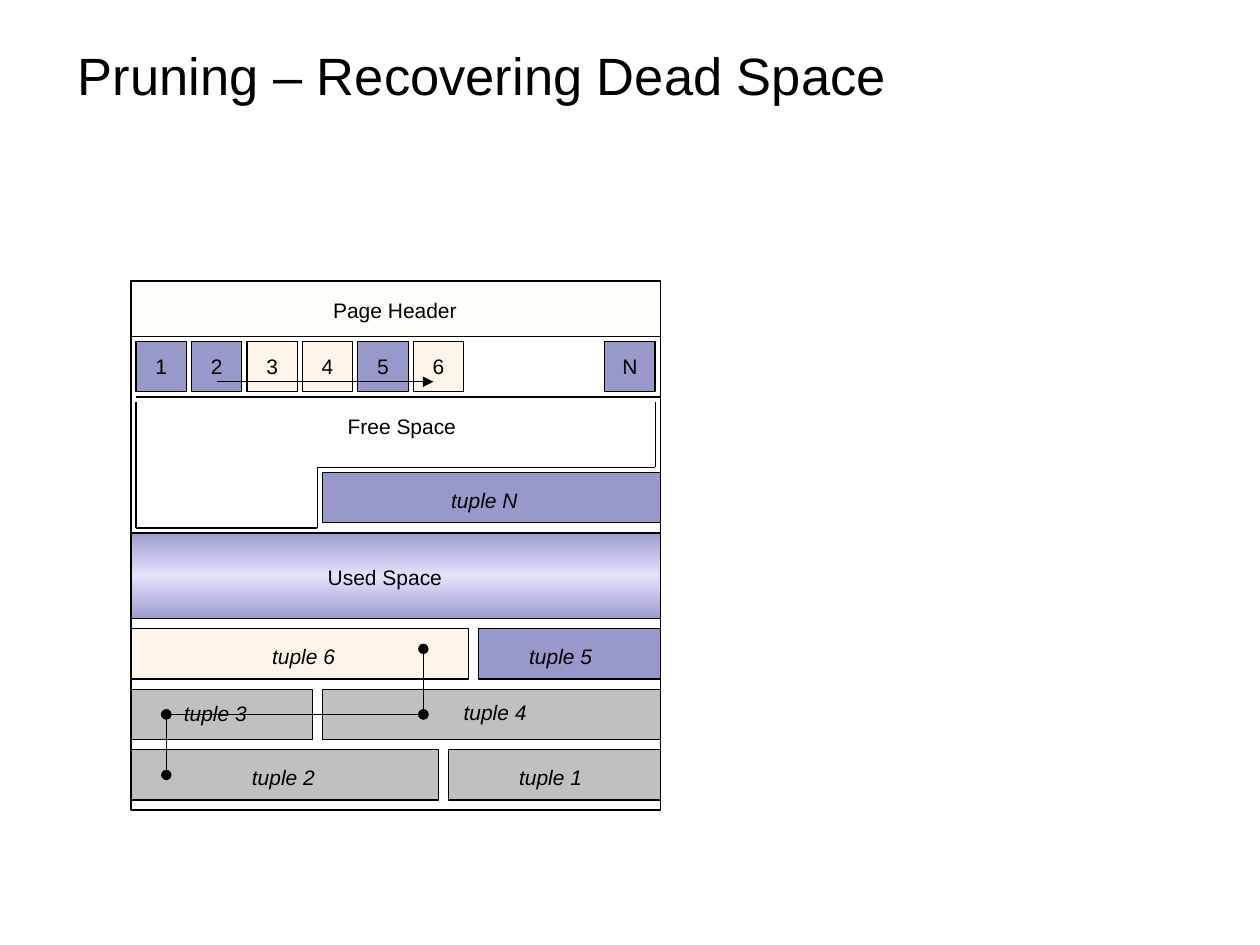
from lxml import etree
from pptx import Presentation
from pptx.dml.color import RGBColor
from pptx.enum.shapes import MSO_CONNECTOR, MSO_SHAPE
from pptx.enum.text import MSO_ANCHOR, PP_ALIGN
from pptx.oxml import parse_xml
from pptx.oxml.ns import nsdecls, qn
from pptx.util import Inches, Pt

COLORS = {"black": "000000", "dead": "C0C0C0", "live": "333399",
          "free": "FFCC99", "header": "FFCC00", "glow": "CCCCFF"}
OPACITY = {"dead": 100, "live": 50, "free": 20, "header": 3}
BLACK = RGBColor.from_string(COLORS["black"])

prs = Presentation()
prs.slide_width, prs.slide_height = Inches(10), Inches(7.5)
s = prs.slides.add_slide(prs.slide_layouts[6])


def write(tf, text, size=12, italic=False, align=PP_ALIGN.CENTER):
    tf.text = text
    p = tf.paragraphs[0]
    p.alignment = align
    font = p.runs[0].font
    font.name, font.size, font.italic = "Arial", Pt(size), italic
    font.color.rgb = BLACK


def box(x, y, w, h, kind=None):
    """Add an outlined rectangle; without a kind it has no fill."""
    sp = s.shapes.add_shape(MSO_SHAPE.RECTANGLE, Inches(x), Inches(y), Inches(w), Inches(h))
    sp.shadow.inherit = False
    sp.line.color.rgb, sp.line.width = BLACK, Pt(0.75)
    if kind is None:
        sp.fill.background()
        return sp
    sp.fill.solid()
    sp.fill.fore_color.rgb = RGBColor.from_string(COLORS[kind])
    if OPACITY[kind] < 100:
        color = sp._element.spPr.find(qn("a:solidFill"))[0]
        etree.SubElement(color, qn("a:alpha")).set("val", str(OPACITY[kind] * 1000))
    return sp


# Page frame and its bands
left, top, page = 1.04, 2.23, 4.2
right = left + page
tuple_h = 0.4

# Tuples: left edge, top, width, kind
for x, y, w, kind in [
    (2.56, 5.47, 2.68, "dead"), (left, 5.47, 1.44, "dead"),
    (3.56, 5.95, 1.68, "dead"), (left, 5.95, 2.44, "dead"),
    (left, 4.99, 2.68, "free"), (3.8, 4.99, 1.44, "live"),
    (2.56, 3.75, 2.68, "live"),
]:
    box(x, y, w, tuple_h, kind)

used = box(left, 4.23, page, 0.68)
used.fill.gradient()
used.fill.gradient_angle = 90
stops = used._element.spPr.find(qn("a:gradFill")).find(qn("a:gsLst"))
for stop in list(stops):
    stops.remove(stop)
for pos, kind, opacity in [(0, "live", 48), (50, "glow", 51), (100, "live", 48)]:
    stops.append(parse_xml(
        f'<a:gs {nsdecls("a")} pos="{pos * 1000}"><a:srgbClr val="{COLORS[kind]}">'
        f'<a:alpha val="{opacity * 1000}"/></a:srgbClr></a:gs>'))

box(left, top, page, page)

# Item pointers: the last one sits at the right end of the row
slot, pitch = 0.4, 0.44
for i, (name, kind) in enumerate([("1", "live"), ("2", "live"), ("3", "free"),
                                  ("4", "free"), ("5", "live"), ("6", "free"),
                                  ("N", "live")]):
    x = right - pitch if name == "N" else left + 0.04 + i * pitch
    tf = box(x, 2.71, slot, slot, kind).text_frame
    tf.vertical_anchor = MSO_ANCHOR.MIDDLE
    tf.word_wrap = False
    write(tf, name)

box(left, top, page, 0.44, "header")

title = s.shapes.add_textbox(Inches(0.52), Inches(0.05), Inches(8.19), Inches(0.84))
title.text_frame.word_wrap = True
title.text_frame.vertical_anchor = MSO_ANCHOR.BOTTOM
write(title.text_frame, "Pruning – Recovering Dead Space", 30, align=PP_ALIGN.LEFT)

# Labels: text, left edge, top, width
for text, x, y, w in [
    ("Page Header", 2.48, 2.31, 1.31), ("Free Space", 2.66, 3.23, 1.06),
    ("Used Space", 2.5, 4.43, 1.11), ("tuple N", 3.48, 3.82, 0.73),
    ("tuple 6", 2.06, 5.06, 0.7), ("tuple 5", 4.1, 5.06, 0.7),
    ("tuple 3", 1.36, 5.51, 0.7), ("tuple 4", 3.58, 5.5, 0.7),
    ("tuple 2", 1.9, 6.02, 0.7), ("tuple 1", 4.02, 6.02, 0.7),
]:
    tf = s.shapes.add_textbox(Inches(x), Inches(y), Inches(w), Inches(0.3)).text_frame
    tf.word_wrap = False
    write(tf, text, italic=text.startswith("tuple"))

# Each path is a run of straight segments with its end markers
paths = [
    ([(1.32, 6.15), (1.32, 5.67), (3.36, 5.67), (3.36, 5.15)], "oval", "oval"),
    ([(1.08, 3.15), (right, 3.15)], None, None),
    ([(1.08, 3.19), (1.08, 4.19), (2.52, 4.19), (2.52, 3.71), (5.2, 3.71), (5.2, 3.19)],
     None, None),
    ([(1.72, 3.03), (3.44, 3.03)], None, "triangle"),
]
for points, head, tail in paths:
    for (x1, y1), (x2, y2) in zip(points, points[1:]):
        line = s.shapes.add_connector(MSO_CONNECTOR.STRAIGHT, Inches(x1), Inches(y1),
                                      Inches(x2), Inches(y2))
        line.line.color.rgb, line.line.width = BLACK, Pt(0.75)
        for tag, marker in [("a:headEnd", head), ("a:tailEnd", tail)]:
            if marker:
                etree.SubElement(line.line._get_or_add_ln(), qn(tag)).set("type", marker)
        etree.SubElement(line._element.spPr, qn("a:effectLst"))

prs.save("out.pptx")
